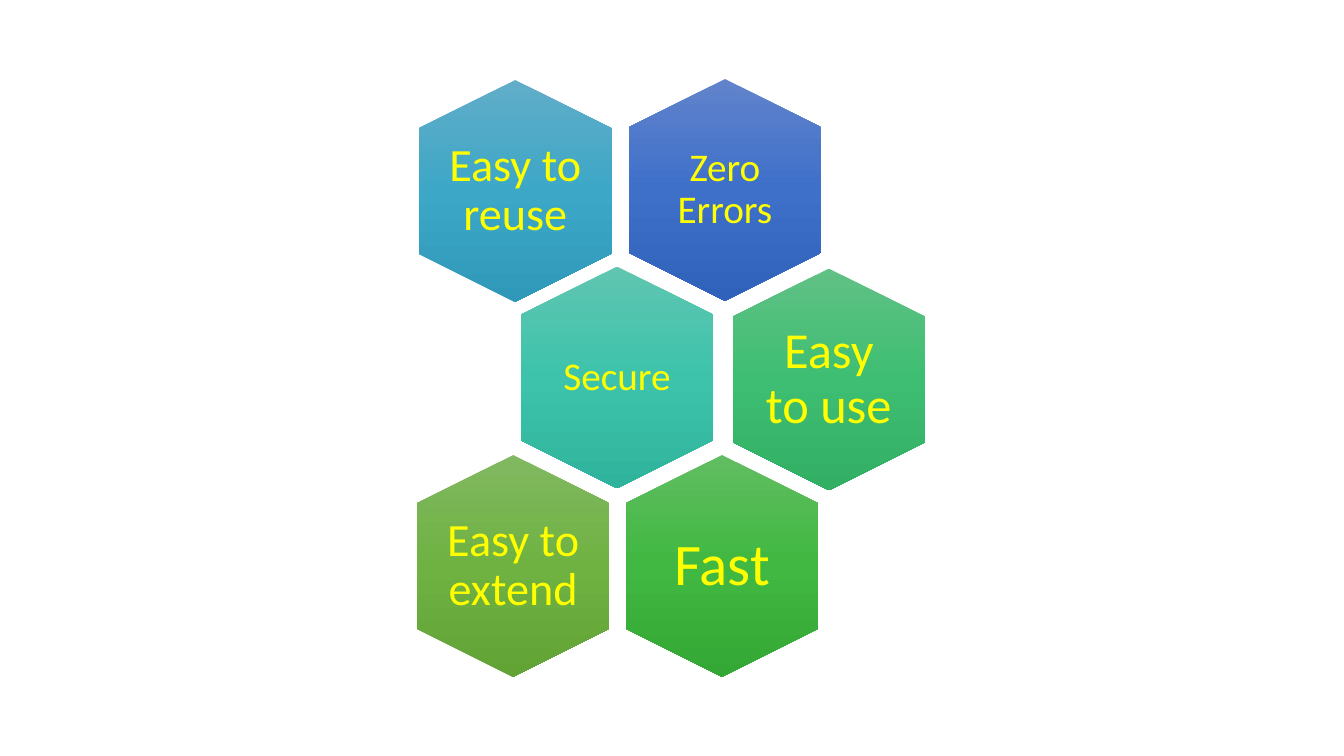
from copy import deepcopy

from pptx import Presentation
from pptx.dml.color import RGBColor
from pptx.enum import shapes, text
from pptx.oxml.ns import qn
from pptx.util import Inches, Pt

COLORS = {
    "label": "FFFF00",
    "blue": ("6183CB", "3E70CA", "3062BB"),
    "cyan": ("61ADC8", "3DA7C7", "3098B8"),
    "teal": ("60C5B1", "3DC3AB", "30B39C"),
    "mint": ("60C184", "3EBE73", "32AE65"),
    "green": ("61BD61", "40B841", "34A835"),
    "olive": ("81B861", "6FB242", "62A336"),
}
HEX_W, HEX_H = 2.2, 1.91  # before the quarter turn
LABEL_W, LABEL_H = 1.32, 1.51

# label, left, top, colour, text size, inset
BENEFITS = [
    ("Zero Errors", 6.09, 0.93, "blue", 28, 0.12),
    ("Easy to reuse", 4.01, 0.94, "cyan", 33, 0),
    ("Secure", 5.02, 2.79, "teal", 28, 0.12),
    ("Easy to use", 7.12, 2.81, "mint", 36, 0),
    ("Fast", 6.06, 4.66, "green", 42, 0.17),
    ("Easy to extend", 3.99, 4.66, "olive", 33, 0),
]


def add_hexagon(parent, left, top, shades):
    """Add a point-up hexagon that shades from top to bottom."""
    sp = parent.shapes.add_shape(shapes.MSO_SHAPE.HEXAGON, Inches(left),
                                 Inches(top), Inches(HEX_W), Inches(HEX_H))
    sp.rotation = 90
    sp.adjustments[0] = 0.25
    sp.adjustments[1] = 1.1547
    sp.shadow.inherit = False
    sp.line.fill.background()
    sp.fill.gradient()
    sp.fill.gradient_angle = 270
    grad = sp._element.spPr.find(qn("a:gradFill"))
    grad.set("rotWithShape", "0")  # keep the shading upright
    stops = grad.find(qn("a:gsLst"))
    stops.append(deepcopy(stops[0]))
    for i, (stop, shade) in enumerate(zip(sp.fill.gradient_stops, shades)):
        stop.position = i / 2
        stop.color.rgb = RGBColor.from_string(shade)


def add_label(parent, label, left, top, size, inset):
    """Add a centred label over a hexagon."""
    sp = parent.shapes.add_textbox(Inches(left), Inches(top),
                                   Inches(LABEL_W), Inches(LABEL_H))
    tf = sp.text_frame
    tf.word_wrap = True
    tf.vertical_anchor = text.MSO_ANCHOR.MIDDLE
    tf.margin_left = tf.margin_right = Inches(inset)
    tf.margin_top = tf.margin_bottom = Inches(inset)
    p = tf.paragraphs[0]
    p.alignment = text.PP_ALIGN.CENTER
    p.line_spacing = 0.9
    r = p.add_run()
    r.text = label
    r.font.name = "Calibri"
    r.font.size = Pt(size)
    r.font.color.rgb = RGBColor.from_string(COLORS["label"])


prs = Presentation()
prs.slide_width, prs.slide_height = Inches(13.33), Inches(7.5)
slide = prs.slides.add_slide(prs.slide_layouts[6])
honeycomb = slide.shapes.add_group_shape()

for label, left, top, color, size, inset in BENEFITS:
    add_hexagon(honeycomb, left, top, COLORS[color])
    add_label(honeycomb, label, left + (HEX_W - LABEL_W) / 2,
              top + (HEX_H - LABEL_H) / 2, size, inset)

prs.save("out.pptx")
